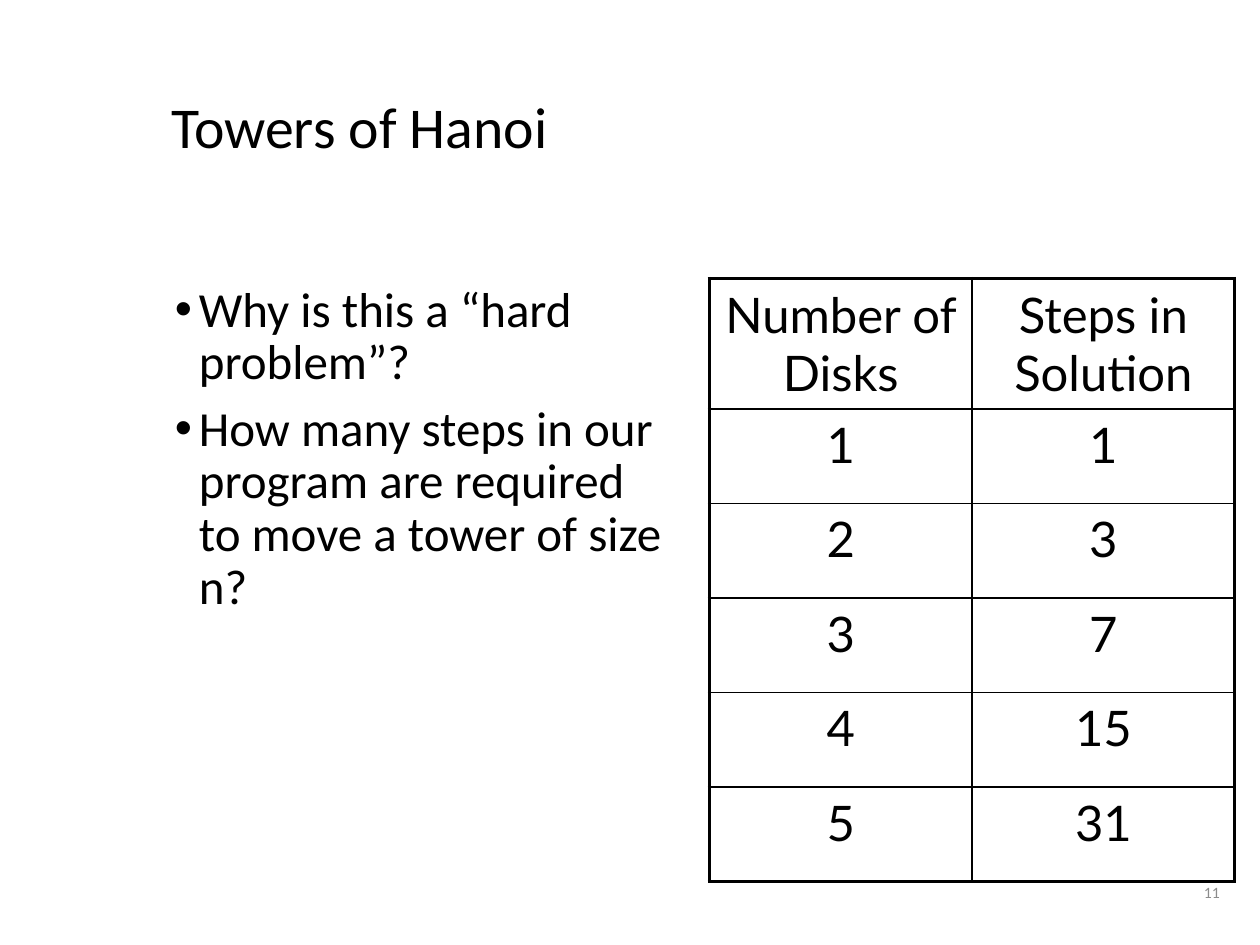
from dataclasses import dataclass

from lxml.etree import SubElement
from pptx import Presentation
from pptx.dml.color import RGBColor
from pptx.enum.text import MSO_ANCHOR as Anchor, PP_ALIGN as Align
from pptx.oxml.ns import qn
from pptx.util import Inches, Pt

BLACK = RGBColor(0x00, 0x00, 0x00)
GREY = RGBColor(0x8C, 0x8C, 0x8C)
WIDTH, HEIGHT = Inches(10), Inches(7.5)
OUTER, INNER = Pt(2.25), Pt(1)
HEADER_HEIGHT, ROW_HEIGHT = Inches(1.03), Inches(0.75)
INDENT = Inches(0.19)

ROWS = [("Number of Disks", "Steps in Solution")] + [
    (str(n), str(2 ** n - 1)) for n in range(1, 6)
]


@dataclass(frozen=True)
class Box:
    left: float
    top: float
    width: float
    height: float

    def emu(self) -> tuple[int, int, int, int]:
        return (
            round(WIDTH * self.left / 100),
            round(HEIGHT * self.top / 100),
            round(WIDTH * self.width / 100),
            round(HEIGHT * self.height / 100),
        )


@dataclass(frozen=True)
class TextBlock:
    box: Box
    lines: tuple[str, ...]
    size: float
    color: RGBColor
    anchor: Anchor
    para: dict
    bullet: bool = False


TABLE_BOX = Box(56.3, 29.47, 41.7, 63.73)
BLOCKS = [
    TextBlock(Box(12.6, 3.07, 85.2, 21.33), ("Towers of Hanoi",),
              33, BLACK, Anchor.MIDDLE, {"line_spacing": 0.9}),
    TextBlock(Box(12.9, 29.47, 41.7, 60),
              ("Why is this a “hard problem”?",
               "How many steps in our program are required to move a tower of size n?"),
              28, BLACK, Anchor.TOP,
              {"line_spacing": 0.9, "space_before": Pt(7.5)}, True),
    TextBlock(Box(77, 91.07, 20.8, 6.67), ("11",),
              9, GREY, Anchor.MIDDLE, {"alignment": Align.RIGHT}),
]


def add_run(p, text: str, size: float, font: str, color: RGBColor) -> None:
    r = p.add_run()
    r.text = text
    for name, value in {"size": Pt(size), "name": font, "bold": False}.items():
        setattr(r.font, name, value)
    r.font.color.rgb = color


def add_bullet(p) -> None:
    pPr = p._p.get_or_add_pPr()
    pPr.set("marL", str(INDENT))
    pPr.set("indent", str(-INDENT))
    SubElement(pPr, qn("a:buFont"), typeface="Arial")
    SubElement(pPr, qn("a:buChar"), char="•")


def add_text(s, block: TextBlock) -> None:
    tf = s.shapes.add_textbox(*block.box.emu()).text_frame
    tf.word_wrap = True
    tf.vertical_anchor = block.anchor
    for i, line in enumerate(block.lines):
        p = tf.add_paragraph() if i else tf.paragraphs[0]
        for name, value in block.para.items():
            setattr(p, name, value)
        if block.bullet:
            add_bullet(p)
        add_run(p, line, block.size, "Calibri", block.color)


def add_borders(cell, widths: dict[str, int]) -> None:
    tcPr = cell._tc.get_or_add_tcPr()
    for side, width in widths.items():
        ln = SubElement(tcPr, qn(f"a:ln{side}"), w=str(width))
        fill = SubElement(ln, qn("a:solidFill"))
        SubElement(fill, qn("a:srgbClr"), val=str(BLACK))


def fill_cell(cell, text: str, widths: dict[str, int]) -> None:
    add_borders(cell, widths)
    cell.fill.background()
    p = cell.text_frame.paragraphs[0]
    p.alignment = Align.CENTER
    before = SubElement(p._p.get_or_add_pPr(), qn("a:spcBef"))
    SubElement(before, qn("a:spcPct"), val="20000")
    add_run(p, text, 28, "Lato", BLACK)


def add_steps_table(s, box: Box) -> None:
    last_row, last_col = len(ROWS) - 1, len(ROWS[0]) - 1
    table = s.shapes.add_table(last_row + 1, last_col + 1, *box.emu()).table
    table.first_row = table.horz_banding = False
    for i, row in enumerate(ROWS):
        table.rows[i].height = ROW_HEIGHT if i else HEADER_HEIGHT
        for j, text in enumerate(row):
            edges = {"L": j == 0, "R": j == last_col,
                     "T": i == 0, "B": i == last_row}
            widths = {side: OUTER if edge else INNER for side, edge in edges.items()}
            fill_cell(table.cell(i, j), text, widths)


def main() -> None:
    prs = Presentation()
    prs.slide_width, prs.slide_height = WIDTH, HEIGHT
    s = prs.slides.add_slide(prs.slide_layouts[6])
    title, questions, number = BLOCKS
    add_text(s, title)
    add_text(s, questions)
    add_steps_table(s, TABLE_BOX)
    add_text(s, number)
    prs.save("out.pptx")


if __name__ == "__main__":
    main()
